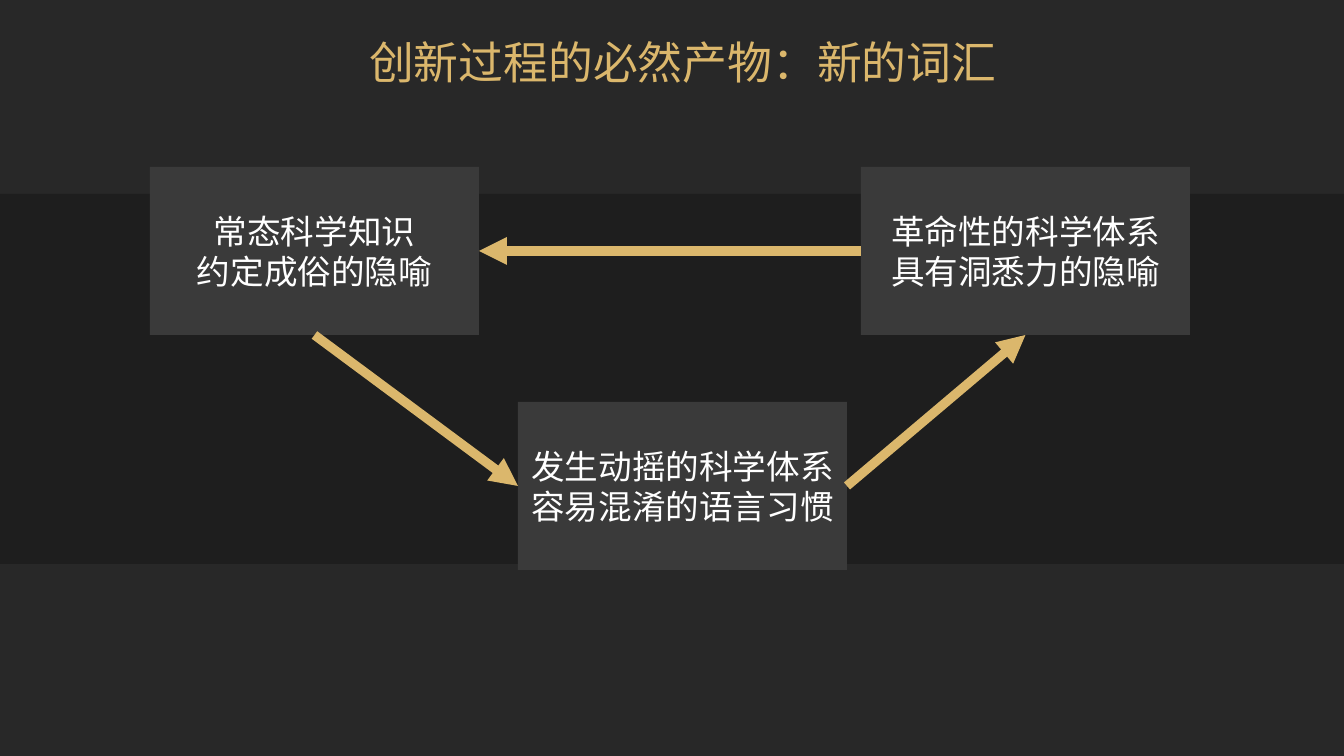
import pptx
import pptx.dml.color
import pptx.enum.shapes
import pptx.enum.text
import pptx.oxml.ns
import pptx.util
from lxml import etree

EMU_PER_PX = 914400 / 134.4
GOLD = "DBB76C"
WHITE = "FFFFFF"
BOX_WIDTH, BOX_HEIGHT = 329, 168
TOP, LEFT, BOTTOM, RIGHT = range(4)


def px(length):
    return pptx.util.Emu(round(length * EMU_PER_PX))


def rgb(value):
    return pptx.dml.color.RGBColor.from_string(value)


def format_paragraphs(frame, font_name, size, color):
    for paragraph in frame.paragraphs:
        for span in paragraph.runs:
            span.font.name = font_name
            span.font.size = pptx.util.Pt(size)
            span.font.color.rgb = rgb(color)


def add_panel(page, left, top, width, height, fill):
    """Add a plain rectangle without outline or shadow."""
    panel = page.shapes.add_shape(
        pptx.enum.shapes.MSO_SHAPE.RECTANGLE,
        px(left), px(top), px(width), px(height))
    panel.shadow.inherit = False
    panel.fill.solid()
    panel.fill.fore_color.rgb = rgb(fill)
    panel.line.fill.background()
    return panel


def add_stage(page, left, top, text):
    stage = add_panel(page, left, top, BOX_WIDTH, BOX_HEIGHT, "3A3A3A")
    frame = stage.text_frame
    frame.text = text
    frame.word_wrap = True
    frame.vertical_anchor = pptx.enum.text.MSO_ANCHOR.MIDDLE
    for paragraph in frame.paragraphs:
        paragraph.alignment = pptx.enum.text.PP_ALIGN.CENTER
    format_paragraphs(frame, "Calibri", 18, WHITE)
    return stage


def add_title(page, text):
    box = page.shapes.add_textbox(px(356), px(9), px(1159), px(112))
    frame = box.text_frame
    frame.text = text
    frame.word_wrap = True
    frame.vertical_anchor = pptx.enum.text.MSO_ANCHOR.MIDDLE
    frame.paragraphs[0].line_spacing = 0.9
    format_paragraphs(frame, "Arial", 24, GOLD)


def add_arrow(page, start, start_side, end, end_side):
    arrow = page.shapes.add_connector(
        pptx.enum.shapes.MSO_CONNECTOR.STRAIGHT, 0, 0, 0, 0)
    arrow.begin_connect(start, start_side)
    arrow.end_connect(end, end_side)
    arrow.line.color.rgb = rgb(GOLD)
    arrow.line.width = pptx.util.Pt(5)
    qn = pptx.oxml.ns.qn
    etree.SubElement(arrow.line._get_or_add_ln(), qn("a:tailEnd"), type="triangle")
    etree.SubElement(arrow._element.spPr, qn("a:effectLst"))


def main():
    deck = pptx.Presentation()
    deck.slide_width, deck.slide_height = px(1344), px(756)
    page = deck.slides.add_slide(deck.slide_layouts[6])
    page.background.fill.solid()
    page.background.fill.fore_color.rgb = rgb("282828")

    add_panel(page, 0, 194, 1344, 370, "1E1E1E")
    add_title(page, "创新过程的必然产物：新的词汇")

    normal = add_stage(page, 150, 167, "常态科学知识\n约定成俗的隐喻")
    shaken = add_stage(page, 518, 402, "发生动摇的科学体系\n容易混淆的语言习惯")
    revolution = add_stage(page, 861, 167, "革命性的科学体系\n具有洞悉力的隐喻")

    add_arrow(page, revolution, LEFT, normal, RIGHT)
    add_arrow(page, normal, BOTTOM, shaken, LEFT)
    add_arrow(page, shaken, RIGHT, revolution, BOTTOM)

    deck.save("out.pptx")


if __name__ == "__main__":
    main()
